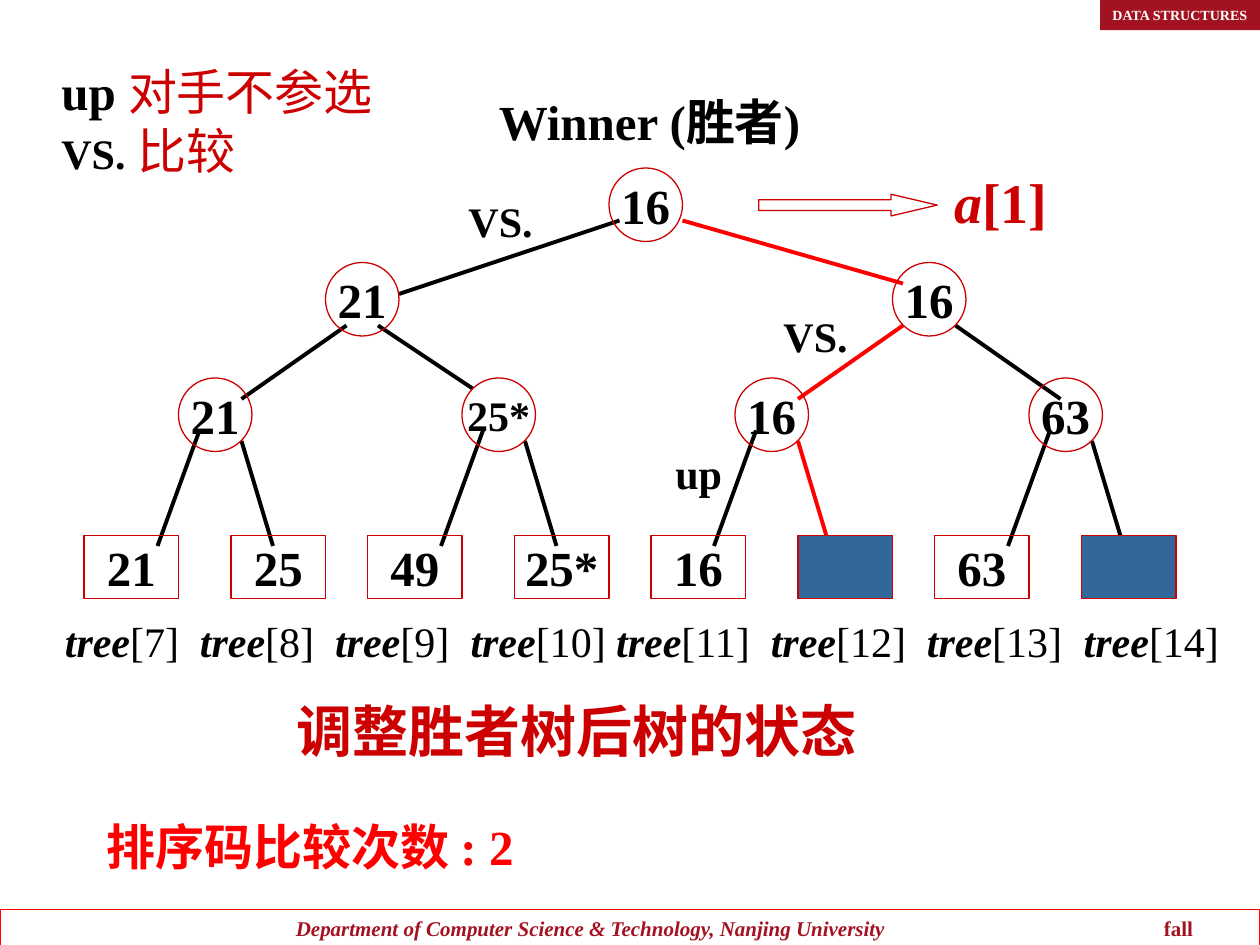
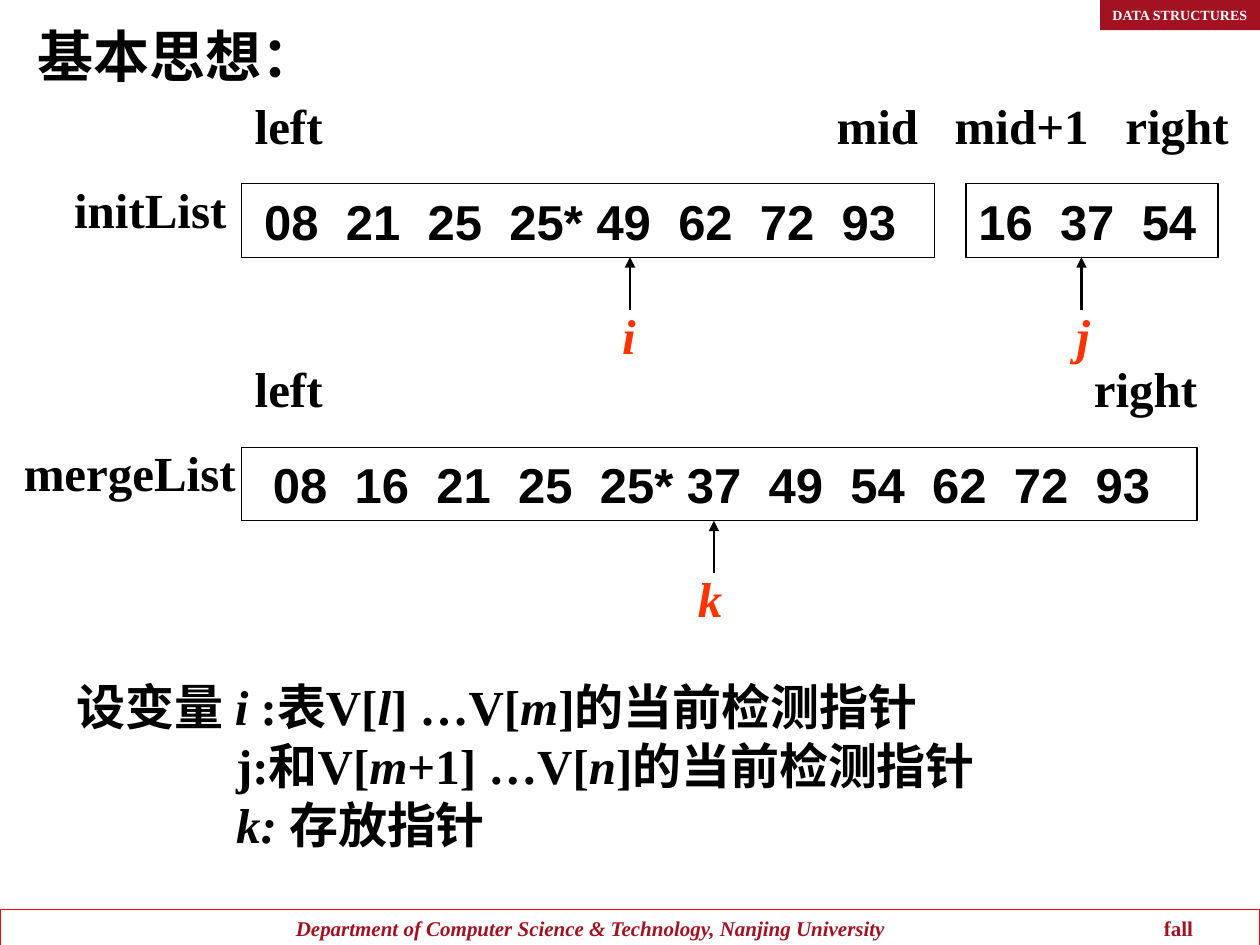
import pptx
import pptx.util
import pptx.dml.color
import pptx.enum.shapes
import pptx.enum.text
import pptx.oxml
import pptx.oxml.ns

Pt = pptx.util.Pt
RGBColor = pptx.dml.color.RGBColor
Shape = pptx.enum.shapes.MSO_SHAPE
Anchor = pptx.enum.text.MSO_ANCHOR
Align = pptx.enum.text.PP_ALIGN

BLACK = RGBColor(0x00, 0x00, 0x00)
WHITE = RGBColor(0xFF, 0xFF, 0xFF)
RED = RGBColor(0xFF, 0x00, 0x00)
CRIMSON = RGBColor(0xCC, 0x00, 0x00)
MAROON = RGBColor(0xA3, 0x12, 0x21)
ORANGE = RGBColor(0xFF, 0x33, 0x00)
BLUE = RGBColor(0x33, 0x66, 0x99)
SERIF, SANS = "Times New Roman", "Arial"
WIDTH, HEIGHT = 720, 540
INSET_X, INSET_Y = 7.2, 3.6
ITALIC, ROMAN = {"italic": True}, {}

# Shared bands
HEADER = "DATA STRUCTURES"
FOOTER = [("\tDepartment of Computer Science & Technology, Nanjing University", ITALIC),
          ("\tfall", ROMAN)]
FOOTER_TABS = [162, 658]

# Winner tree: node is (value, left, top); leaf is (value, left)
TREE_TITLE = "调整胜者树后树的状态"
NODE_SIZE = 42
UPPER_NODES = [("16", 348, 96), ("21", 186, 150), ("16", 510, 150)]
LOWER_NODES = [("21", 102, 216), ("25*", 264, 216), ("16", 420, 216), ("63", 588, 216)]
LEAF_TOP, LEAF_WIDTH, LEAF_HEIGHT = 306, 54, 36
LEAVES = [("21", 48), ("25", 132), ("49", 210), ("25*", 294),
          ("16", 372), (None, 456), ("63", 534), (None, 618)]
FIRST_LEAF_INDEX = 7
LEAF_LABEL_TABS = [77.2, 154.4, 231.8, 315, 403.4, 492.6, 582.2]
UPPER_EDGES = [((390, 126), (516, 162), RED), ((354, 126), (228, 168), BLACK),
               ((516, 186), (456, 228), RED), ((546, 186), (606, 228), BLACK),
               ((198, 186), (138, 228), BLACK), ((216, 186), (270, 222), BLACK)]
WINNING_RIGHT_EDGE = 420
TREE_NOTES = [  # text, left, top, width, size, colour
    ("Winner (胜者)", 278, 49, 230, 28, BLACK),
    ("VS.", 260.6, 108, 70, 24, BLACK),
    ("VS.", 440.6, 174, 70, 24, BLACK),
    ("up", 378.8, 252, 60, 24, BLACK),
    ("排序码比较次数 : 2", 54, 463, 278, 28, RED),
]
LEGEND = [
    [("up ", ROMAN), ("对手不参选", {"color": CRIMSON, "bold": False})],
    [("VS.", {"size": 24}), (" 比较", {"color": CRIMSON, "bold": False})],
]

# Merge lists
MERGE_TITLE = "基本思想："
LIST_HEIGHT, VALUE_PITCH, STARRED_PITCH = 42, 46.7, 49.8
LIST_ROWS = [
    {"name": ("initList", 35.3), "top": 105,
     "boxes": [(138, 396, 13, "08 21 25 25* 49 62 72 93"),
               (552, 144, INSET_X, "16 37 54")],
     "bounds": [("left", 138.5), ("mid", 471), ("mid+1", 538.5), ("right", 636)],
     "pointers": [("i", 348.5, 360), ("j", 608, 618)]},
    {"name": ("mergeList", 6.5), "top": 255.6,
     "boxes": [(138, 546, 18, "08 16 21 25 25* 37 49 54 62 72 93")],
     "bounds": [("left", 138.5), ("right", 618)],
     "pointers": [("k", 391.7, 408)]},
]
VARIABLES = [
    [("设变量 ", ROMAN), ("i ", ITALIC), (":表V[", ROMAN), ("l", ITALIC), ("] …V[", ROMAN),
     ("m", ITALIC), ("]的当前检测指针", ROMAN)],
    [("j:和V[", ROMAN), ("m", ITALIC), ("+1] …V[", ROMAN), ("n", ITALIC),
     ("]的当前检测指针", ROMAN)],
    [("k: ", ITALIC), ("存放指针", ROMAN)],
]
VARIABLE_INDENT = 91


def write_text(shape, paragraphs, size=28, color=BLACK, font=SERIF, align=Align.LEFT,
               anchor=Anchor.TOP, wrap=True, inset_left=INSET_X, tabs=(), indents=()):
    """Fill a shape with paragraphs, each a string or a list of (text, overrides)."""
    frame = shape.text_frame
    frame.word_wrap = wrap
    frame.auto_size = pptx.enum.text.MSO_AUTO_SIZE.NONE
    frame.vertical_anchor = anchor
    frame.margin_left, frame.margin_right = Pt(inset_left), Pt(INSET_X)
    frame.margin_top = frame.margin_bottom = Pt(INSET_Y)
    for index, runs in enumerate(paragraphs):
        paragraph = frame.add_paragraph() if index else frame.paragraphs[0]
        paragraph.alignment = align
        paragraph.space_before = Pt(0)
        properties = paragraph._p.get_or_add_pPr()
        if shape.is_placeholder:
            properties.set("marL", str(Pt(indents[index] if indents else 0)))
            properties.set("indent", "0")
            add_child(properties, "a:buNone")
        if tabs:
            tab_list = add_child(properties, "a:tabLst")
            for position in tabs:
                add_child(tab_list, "a:tab", pos=str(Pt(position)), algn="l")
        for text, overrides in [(runs, ROMAN)] if isinstance(runs, str) else runs:
            run = paragraph.add_run()
            run.text = text
            run.font.name = font
            run.font.size = Pt(overrides.get("size", size))
            run.font.bold = overrides.get("bold", True)
            run.font.italic = overrides.get("italic", False)
            run.font.color.rgb = overrides.get("color", color)


def add_child(parent, tag, **attributes):
    child = pptx.oxml.parse_xml(f"<{tag} {pptx.oxml.ns.nsdecls('a')}/>")
    for name, value in attributes.items():
        child.set(name, value)
    parent.append(child)
    return child


def place(shape, left, top, width, height):
    shape.left, shape.top, shape.width, shape.height = map(Pt, (left, top, width, height))


def add_text(slide, paragraphs, left, top, width, height=41, **style):
    box = slide.shapes.add_textbox(Pt(left), Pt(top), Pt(width), Pt(height))
    write_text(box, paragraphs, **style)


def add_outline(slide, kind, left, top, width, height, line=None, fill=None):
    shape = slide.shapes.add_shape(kind, Pt(left), Pt(top), Pt(width), Pt(height))
    shape.shadow.inherit = False
    if fill is None:
        shape.fill.background()
    else:
        shape.fill.solid()
        shape.fill.fore_color.rgb = fill
    if line is None:
        shape.line.fill.background()
    else:
        shape.line.color.rgb = line
        shape.line.width = Pt(0.75)
    return shape


def add_line(slide, start, end, color, width, arrow=False):
    line = slide.shapes.add_connector(
        pptx.enum.shapes.MSO_CONNECTOR.STRAIGHT, *map(Pt, (*start, *end)))
    line.line.color.rgb = color
    line.line.width = Pt(width)
    if arrow:
        add_child(line.line._get_or_add_ln(), "a:tailEnd", type="triangle")
    add_child(line._element.spPr, "a:effectLst")


def add_slide(presentation, layout_index):
    slide = presentation.slides.add_slide(presentation.slide_layouts[layout_index])
    footer = add_outline(slide, Shape.RECTANGLE, 0, 519.8, WIDTH, 21.6, line=RED)
    write_text(footer, [FOOTER], size=12, color=MAROON, tabs=FOOTER_TABS)
    header = add_outline(slide, Shape.RECTANGLE, 628.6, 0, WIDTH - 628.6, 17.2, fill=MAROON)
    write_text(header, [HEADER], size=8, color=WHITE, wrap=False)
    return slide


def add_value(slide, kind, value, left, top, width, height):
    fill = BLUE if value is None else None
    shape = add_outline(slide, kind, left, top, width, height, line=CRIMSON, fill=fill)
    if value is not None:
        size = 24 if kind == Shape.OVAL and len(value) > 2 else 28
        write_text(shape, [value], size=size, align=Align.CENTER,
                   anchor=Anchor.MIDDLE, wrap=False)


def build_tree_slide(presentation):
    slide = add_slide(presentation, 5)
    title = slide.shapes.title
    place(title, 162, 394.6, 352, 46)
    write_text(title, [TREE_TITLE], size=32, color=CRIMSON)

    for start, end, color in UPPER_EDGES:
        add_line(slide, start, end, color, 2.25)
    for _, left, top in LOWER_NODES:
        edge_end = LEAF_TOP + 6
        add_line(slide, (left + 12, top + 30), (left - 12, edge_end), BLACK, 2.25)
        color = RED if left == WINNING_RIGHT_EDGE else BLACK
        add_line(slide, (left + 36, top + 36), (left + 54, edge_end), color, 2.25)
    for value, left, top in UPPER_NODES + LOWER_NODES:
        add_value(slide, Shape.OVAL, value, left, top, NODE_SIZE, NODE_SIZE)
    for value, left in LEAVES:
        add_value(slide, Shape.RECTANGLE, value, left, LEAF_TOP, LEAF_WIDTH, LEAF_HEIGHT)

    labels = []
    for index in range(len(LEAVES)):
        labels.append(("\ttree" if index else "tree", ITALIC))
        labels.append((f"[{index + FIRST_LEAF_INDEX}]", {"bold": False}))
    add_text(slide, [labels], 30, 348, 682, 36, size=24, tabs=LEAF_LABEL_TABS)

    for text, left, top, width, size, color in TREE_NOTES:
        add_text(slide, [text], left, top, width, size=size, color=color)
    add_text(slide, LEGEND, 28, 31.6, 220, 75)

    arrow = add_outline(slide, Shape.RIGHT_ARROW, 433.6, 111, 102, 12.4, line=CRIMSON)
    arrow.adjustments[0], arrow.adjustments[1] = 0.5, 2.13
    add_text(slide, [[("a", ITALIC), ("[1]", ROMAN)]], 538.2, 92, 80, 46,
             size=32, color=CRIMSON)


def add_list_box(slide, left, top, width, inset, text):
    values = text.split()
    tabs, position = [], 0
    for value in values[:-1]:
        position += STARRED_PITCH if value.endswith("*") else VALUE_PITCH
        tabs.append(position)
    box = add_outline(slide, Shape.RECTANGLE, left, top, width, LIST_HEIGHT,
                      line=BLACK, fill=WHITE)
    write_text(box, ["\t".join(values)], font=SANS, anchor=Anchor.MIDDLE,
               inset_left=inset, tabs=tabs)


def build_merge_slide(presentation):
    slide = add_slide(presentation, 1)
    title, body = slide.shapes.title, slide.placeholders[1]
    place(title, 14.4, 8.8, 286, 46)
    write_text(title, [MERGE_TITLE], size=32, font=SANS)

    for row in LIST_ROWS:
        top = row["top"]
        for left, width, inset, values in row["boxes"]:
            add_list_box(slide, left, top, width, inset, values)
        name, left = row["name"]
        add_text(slide, [name], left, top - 6, 140)
        for label, left in row["bounds"]:
            add_text(slide, [label], left, top - 54, 100 if left < 600 else 80)
        for label, left, arrow_x in row["pointers"]:
            add_line(slide, (arrow_x, top + 72), (arrow_x, top + LIST_HEIGHT),
                     BLACK, 1.5, arrow=True)
            add_text(slide, [[(label, ITALIC)]], left, top + 66, 36, color=ORANGE)

    place(body, 36.8, 383, 624, 108)
    write_text(body, VARIABLES, indents=[0, VARIABLE_INDENT, VARIABLE_INDENT])


def main():
    presentation = pptx.Presentation()
    presentation.slide_width, presentation.slide_height = Pt(WIDTH), Pt(HEIGHT)
    build_tree_slide(presentation)
    build_merge_slide(presentation)
    presentation.save("out.pptx")


if __name__ == "__main__":
    main()
